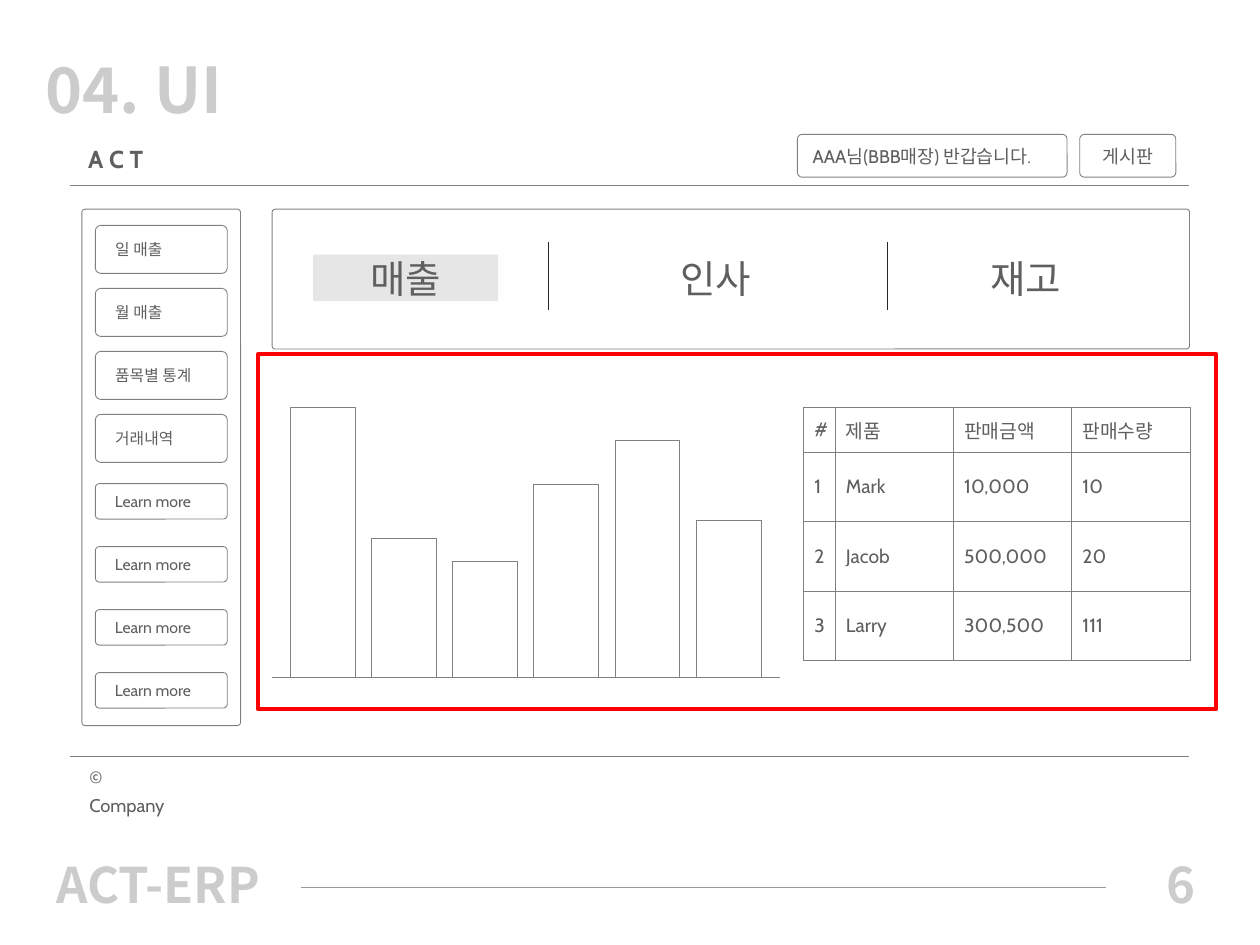
from lxml import etree
from pptx import Presentation
from pptx.dml.color import RGBColor
from pptx.enum.shapes import MSO_CONNECTOR, MSO_SHAPE
from pptx.enum.text import MSO_ANCHOR, PP_ALIGN
from pptx.oxml.ns import qn
from pptx.util import Pt

RECTANGLE, ROUNDED = MSO_SHAPE.RECTANGLE, MSO_SHAPE.ROUNDED_RECTANGLE
STRAIGHT = MSO_CONNECTOR.STRAIGHT
TOP, MIDDLE = MSO_ANCHOR.TOP, MSO_ANCHOR.MIDDLE
LEFT, CENTER = PP_ALIGN.LEFT, PP_ALIGN.CENTER

BODY_FONT, HEADING_FONT = "Cabin", "Noto Sans CJK KR"
WHITE, INK, BORDER = "FFFFFF", "5F5F5F", "808080"
PALE, RULE, DARK, SHADE, RED = "CCCCCC", "999999", "262626", "E7E6E6", "FF0000"


def color(value):
    return RGBColor.from_string(value)


def style_paragraph(paragraph, text, size, align=LEFT, bold=False,
                    font=BODY_FONT, ink=INK):
    paragraph.text = text
    paragraph.alignment = align
    paragraph.font.name = font
    paragraph.font.size = Pt(size)
    paragraph.font.bold = bold
    paragraph.font.color.rgb = color(ink)


def set_text(shape, text, size, anchor=MIDDLE, margins=(0, 0), **style):
    frame = shape.text_frame
    frame.word_wrap = True
    frame.vertical_anchor = anchor
    frame.margin_left = frame.margin_right = Pt(margins[0])
    frame.margin_top = frame.margin_bottom = Pt(margins[1])
    style_paragraph(frame.paragraphs[0], text, size, **style)


def add_text(slide, box, text, size, **style):
    shape = slide.shapes.add_textbox(*map(Pt, box))
    set_text(shape, text, size, **style)
    return shape


def add_box(slide, box, kind=RECTANGLE, radius=0, fill=WHITE, line=BORDER, weight=0.5):
    shape = slide.shapes.add_shape(kind, *map(Pt, box))
    shape.shadow.inherit = False
    if kind == ROUNDED:
        shape.adjustments[0] = radius
    if fill:
        shape.fill.solid()
        shape.fill.fore_color.rgb = color(fill)
    else:
        shape.fill.background()
    if line:
        shape.line.color.rgb = color(line)
        shape.line.width = Pt(weight)
    else:
        shape.line.fill.background()
    return shape


def add_line(slide, x1, y1, x2, y2, line=BORDER):
    connector = slide.shapes.add_connector(STRAIGHT, Pt(x1), Pt(y1), Pt(x2), Pt(y2))
    connector.line.color.rgb = color(line)
    connector.line.width = Pt(0.5)
    etree.SubElement(connector._element.spPr, qn("a:effectLst"))


def set_borders(cell):
    properties = cell._tc.get_or_add_tcPr()
    for index, side in enumerate(("a:lnL", "a:lnR", "a:lnT", "a:lnB")):
        border = etree.Element(qn(side), w=str(Pt(0.5)))
        fill = etree.SubElement(border, qn("a:solidFill"))
        etree.SubElement(fill, qn("a:srgbClr"), val=BORDER)
        properties.insert(index, border)


def add_header(slide, box):
    left, top, width, height = box
    bottom = top + height
    add_text(slide, box, "A C T", 14, margins=(10.1, 3.6), bold=True)
    add_line(slide, left, bottom, left + width, bottom)
    # Greeting and board button
    for offset, button_width, text, align in (
            (415.4, 154.1, "AAA님(BBB매장) 반갑습니다.", LEFT),
            (576.7, 54.9, "게시판", CENTER)):
        button = add_box(slide, (left + offset, top + 1.2, button_width, 24.5),
                         ROUNDED, 0.108)
        set_text(button, text, 10.5, margins=(8, 5), align=align)


def add_sidebar(slide, box):
    left, top, width, height = box
    add_box(slide, box, ROUNDED, 0.021)
    labels = ["일 매출", "월 매출", "품목별 통계", "거래내역"] + ["Learn more"] * 4
    for index, label in enumerate(labels):
        button_height = 27.4 if index < 4 else 20.3
        middle = top + 23 + 36 * index
        button = add_box(slide, (left + 7.7, middle - button_height / 2,
                                 width - 15.3, button_height), ROUNDED, 0.112)
        set_text(button, label, 9, margins=(10.5, 0))


def add_tabs(slide, box):
    left, top, width, height = box
    add_box(slide, box, ROUNDED, 0.021)
    tab_width, tab_height, step = 105.8, 26.6, 177.1
    for index, label in enumerate(("매출", "인사", "재고")):
        tab_box = (left + 23.4 + step * index, top + 26.1, tab_width, tab_height)
        if index == 0:  # Selected tab
            tab = add_box(slide, tab_box, fill=SHADE, line=None)
            set_text(tab, label, 22, align=CENTER)
        else:
            add_text(slide, tab_box, label, 22, align=CENTER)
    for offset in (158.2, 351.7):
        add_line(slide, left + offset, top + 18.7, left + offset, top + 57.6, DARK)


def add_bars(slide, box):
    left, top, width, height = box
    baseline = top + height
    add_line(slide, left, baseline, left + width, baseline)
    for index, bar_height in enumerate((154.4, 79.4, 66.2, 110.2, 135.4, 89.3)):
        add_box(slide, (left + 10.4 + 46.4 * index, baseline - bar_height,
                        37, bar_height))


def add_sales_table(slide, box):
    rows = (("#", "제품", "판매금액", "판매수량"),
            ("1", "Mark", "10,000", "10"),
            ("2", "Jacob", "500,000", "20"),
            ("3", "Larry", "300,500", "111"))
    table = slide.shapes.add_table(len(rows), len(rows[0]), *map(Pt, box)).table
    table.first_row = table.horz_banding = False
    for column, width in zip(table.columns, (18, 67.6, 67.6, 67.6)):
        column.width = Pt(width)
    for row, height in zip(table.rows, (25.7, 39.7, 39.7, 39.7)):
        row.height = Pt(height)
    for row, texts in zip(table.rows, rows):
        for cell, text in zip(row.cells, texts):
            cell.fill.background()
            set_borders(cell)
            cell.vertical_anchor = MIDDLE
            cell.margin_left = cell.margin_right = Pt(6.2)
            cell.margin_top = cell.margin_bottom = Pt(4.5)
            style_paragraph(cell.text_frame.paragraphs[0], text, 11)


def add_copyright(slide, box):
    left, top, width, height = box
    add_line(slide, left, top, left + width, top)
    shape = add_text(slide, (left + 10.8, top + 2.9, 50.4, height - 2.9),
                     "© Company", 10.5, anchor=TOP)
    paragraph = shape.text_frame.paragraphs[0]
    paragraph.line_spacing = 1.25
    paragraph.space_after = Pt(5)


def add_footer(slide, box):
    left, top, width, height = box
    style = dict(anchor=TOP, margins=(7.2, 3.6), bold=True,
                 font=HEADING_FONT, ink=PALE)
    add_text(slide, (left, top, 137.5, height), "ACT-ERP", 28, **style)
    add_text(slide, (left + width - 35.3, top, 35.3, height), "6", 28, **style)
    add_line(slide, left + 146.9, top + 22.3, left + 607, top + 22.3, RULE)


def main():
    presentation = Presentation()
    presentation.slide_width, presentation.slide_height = Pt(720), Pt(540)
    slide = presentation.slides.add_slide(presentation.slide_layouts[6])

    # Slide title
    add_text(slide, (18.7, 25.2, 447.8, 51.1), "04. UI", 36, anchor=TOP,
             margins=(7.2, 3.6), bold=True, font=HEADING_FONT, ink=PALE)

    # Screen mock-up
    add_header(slide, (40.3, 75.6, 639.4, 30.2))
    add_sidebar(slide, (46.8, 119.5, 90.7, 295.2))
    add_tabs(slide, (155.5, 119.5, 524.2, 79.9))
    add_bars(slide, (155.5, 232.6, 290.2, 154.4))
    add_sales_table(slide, (459.2, 232.6, 220.8, 144.8))
    add_copyright(slide, (40.3, 432, 639.4, 38))

    # Highlight around the chart and table
    add_box(slide, (147.6, 202.3, 547.2, 203), fill=None, line=RED, weight=2.25)

    add_footer(slide, (25.2, 484.6, 669.6, 41))
    presentation.save("out.pptx")


if __name__ == "__main__":
    main()
